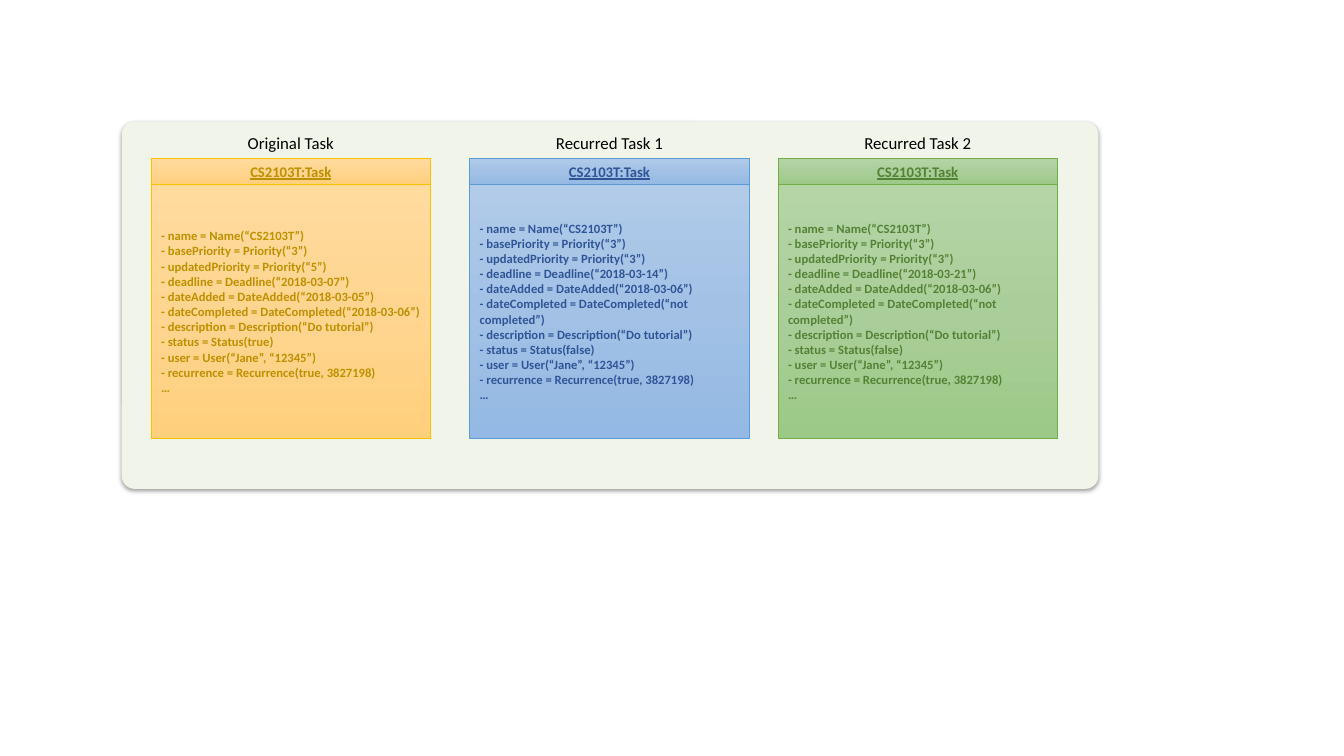
from copy import deepcopy

from lxml import etree
from pptx import Presentation
from pptx import util as u
from pptx.dml.color import RGBColor
from pptx.enum import shapes, text
from pptx.oxml.ns import qn

BLACK = RGBColor(0x00, 0x00, 0x00)
PANEL_GREEN = RGBColor(0xF1, 0xF5, 0xE9)
# Each palette: gradient from top to bottom, border, text
ORANGE = ([RGBColor(0xFF, 0xDB, 0x9E), RGBColor(0xFF, 0xD5, 0x90), RGBColor(0xFF, 0xD0, 0x7C)],
          RGBColor(0xFF, 0xC0, 0x00), RGBColor(0xBF, 0x90, 0x00))
BLUE = ([RGBColor(0xB1, 0xCB, 0xE9), RGBColor(0xA3, 0xC1, 0xE5), RGBColor(0x93, 0xB9, 0xE4)],
        RGBColor(0x5B, 0x9B, 0xD5), RGBColor(0x2F, 0x55, 0x97))
GREEN = ([RGBColor(0xB5, 0xD5, 0xA7), RGBColor(0xAA, 0xCE, 0x9A), RGBColor(0x9C, 0xC9, 0x87)],
         RGBColor(0x70, 0xAD, 0x47), RGBColor(0x54, 0x82, 0x35))

LABEL_FORMAT = {"size": u.Pt(12)}
HEADER_FORMAT = {"size": u.Pt(10.5), "bold": True, "underline": True}
FIELD_FORMAT = {"size": u.Pt(9), "bold": True}

CARD_WIDTH = 7.04
LABEL_TOP, LABEL_HEIGHT = 3.23, 0.76
HEADER_TOP, HEADER_HEIGHT = 3.99, 0.66
FIELDS_TOP, FIELDS_HEIGHT = HEADER_TOP + HEADER_HEIGHT, 6.4

# Left edge, label, palette, updated priority, deadline, date added, date completed, status
TASKS = [
    (3.81, "Original Task", ORANGE, 5, "2018-03-07", "2018-03-05", "2018-03-06", "true"),
    (11.84, "Recurred Task 1", BLUE, 3, "2018-03-14", "2018-03-06", "not completed", "false"),
    (19.61, "Recurred Task 2", GREEN, 3, "2018-03-21", "2018-03-06", "not completed", "false"),
]


class TaskDiagram:
    font_name = "Calibri"

    def __init__(self, slide):
        self.slide = slide

    def add_lines(self, frame, lines, color, align, formats):
        frame.word_wrap = True
        for index, line in enumerate(lines):
            paragraph = frame.add_paragraph() if index else frame.paragraphs[0]
            paragraph.alignment = align
            run = paragraph.add_run()
            run.text = line
            run.font.color.rgb = color
            for key, value in {"name": self.font_name, **formats}.items():
                setattr(run.font, key, value)

    def shape(self, preset, *box):
        shape = self.slide.shapes.add_shape(preset, *map(u.Cm, box))
        shape.shadow.inherit = False
        return shape

    def panel(self, *box):
        panel = self.shape(shapes.MSO_SHAPE.ROUNDED_RECTANGLE, *box)
        panel.adjustments[0] = 0.035
        panel.fill.solid()
        panel.fill.fore_color.rgb = PANEL_GREEN
        panel.line.fill.background()
        effects = panel.element.spPr.find(qn("a:effectLst"))
        shadow = etree.SubElement(effects, qn("a:outerShdw"), blurRad="40000", dist="20000",
                                  dir="5400000", rotWithShape="0")
        shade = etree.SubElement(shadow, qn("a:srgbClr"), val=str(BLACK))
        etree.SubElement(shade, qn("a:alpha"), val="38000")

    def compartment(self, box, palette, lines, align, formats):
        gradient, border, ink = palette
        cell = self.shape(shapes.MSO_SHAPE.RECTANGLE, *box)
        cell.fill.gradient()
        cell.fill.gradient_angle = 270
        stop_list = cell.element.spPr.find(".//" + qn("a:gsLst"))
        stop_list.insert(1, deepcopy(stop_list[0]))
        for stop, position, color in zip(cell.fill.gradient_stops, (0, 0.5, 1), gradient):
            stop.position = position
            stop.color.rgb = color
        cell.line.color.rgb = border
        cell.line.width = u.Pt(0.5)
        cell.text_frame.vertical_anchor = text.MSO_ANCHOR.MIDDLE
        self.add_lines(cell.text_frame, lines, ink, align, formats)

    def label(self, caption, *box):
        label = self.slide.shapes.add_textbox(*map(u.Cm, box))
        label.text_frame.auto_size = text.MSO_AUTO_SIZE.SHAPE_TO_FIT_TEXT
        self.add_lines(label.text_frame, [caption], BLACK, text.PP_ALIGN.CENTER, LABEL_FORMAT)

    def task(self, left, caption, palette, priority, deadline, added, completed, status):
        fields = [
            "- name = Name(“CS2103T”)",
            "- basePriority = Priority(“3”)",
            f"- updatedPriority = Priority(“{priority}”)",
            f"- deadline = Deadline(“{deadline}”)",
            f"- dateAdded = DateAdded(“{added}”)",
            f"- dateCompleted = DateCompleted(“{completed}”)",
            "- description = Description(“Do tutorial”)",
            f"- status = Status({status})",
            "- user = User(“Jane”, “12345”)",
            "- recurrence = Recurrence(true, 3827198)",
            "…",
        ]
        self.compartment((left, HEADER_TOP, CARD_WIDTH, HEADER_HEIGHT), palette,
                         ["CS2103T:Task"], text.PP_ALIGN.CENTER, HEADER_FORMAT)
        self.compartment((left, FIELDS_TOP, CARD_WIDTH, FIELDS_HEIGHT), palette,
                         fields, text.PP_ALIGN.LEFT, FIELD_FORMAT)
        self.label(caption, left, LABEL_TOP, CARD_WIDTH, LABEL_HEIGHT)


def main():
    deck = Presentation()
    deck.slide_width, deck.slide_height = u.Cm(33.87), u.Cm(19.05)
    diagram = TaskDiagram(deck.slides.add_slide(deck.slide_layouts[6]))
    diagram.panel(3.07, 3.07, 24.61, 9.25)
    for task in TASKS:
        diagram.task(*task)
    deck.save("out.pptx")


if __name__ == "__main__":
    main()
